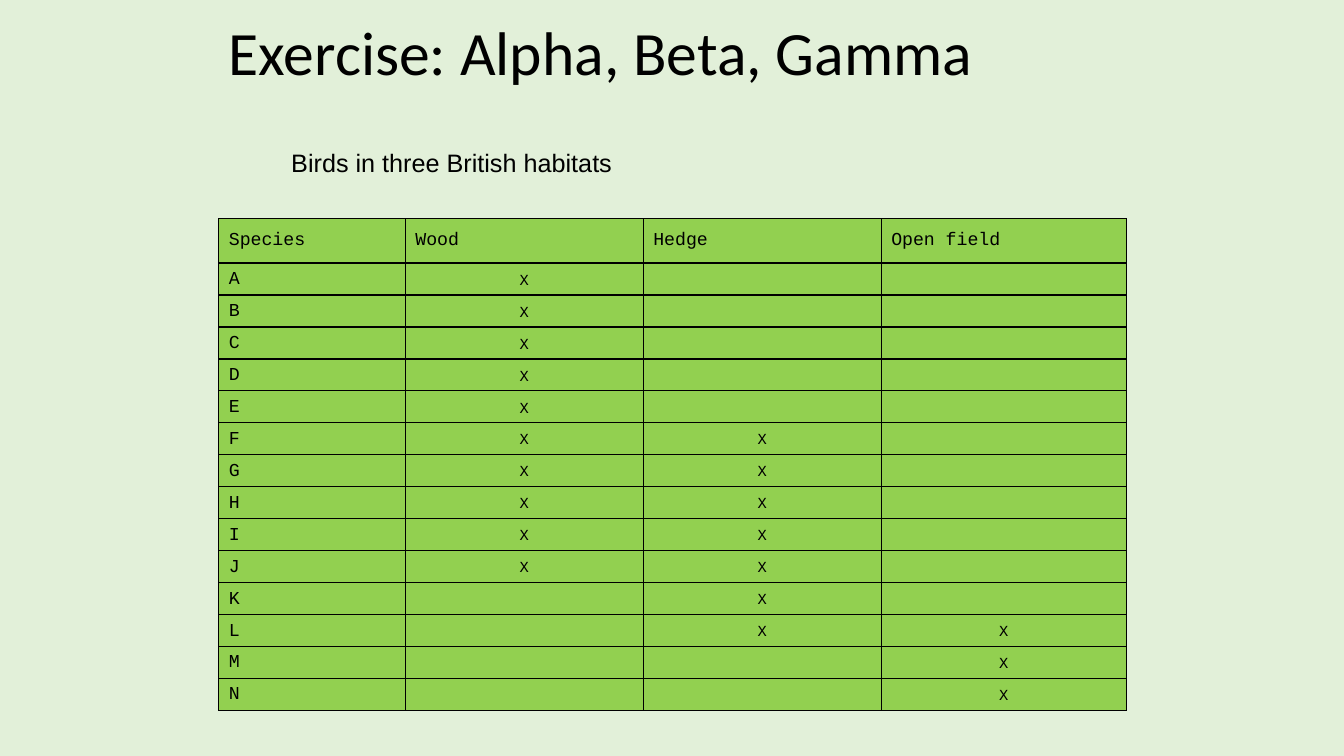
from pptx import Presentation
from pptx.dml.color import RGBColor as RGB
from pptx.enum.text import MSO_ANCHOR as ANCHOR, MSO_AUTO_SIZE as AUTO, PP_ALIGN as ALIGN
from pptx.oxml.ns import qn
from pptx.util import Inches, Pt
from lxml.etree import SubElement

COLORS = {"background": "E2F0D9", "cell": "92D050", "ink": "000000"}
HABITATS = {"Wood": "ABCDEFGHIJ", "Hedge": "FGHIJKL", "Open field": "LMN"}
SPECIES = "ABCDEFGHIJKLMN"


class SlideBuilder:
    def __init__(self, prs):
        self.s = prs.slides.add_slide(prs.slide_layouts[6])
        fill = self.s.background.fill
        fill.solid()
        fill.fore_color.rgb = RGB.from_string(COLORS["background"])

    def style(self, p, size, font):
        p.font.size = Pt(size)
        p.font.name = font
        p.font.color.rgb = RGB.from_string(COLORS["ink"])

    def text(self, text, box, size, font, wrap=True, anchor=ANCHOR.TOP, spacing=None):
        sp = self.s.shapes.add_textbox(*map(Inches, box))
        tf = sp.text_frame
        tf.word_wrap = wrap
        tf.auto_size = AUTO.NONE if wrap else AUTO.SHAPE_TO_FIT_TEXT
        tf.vertical_anchor = anchor
        p = tf.paragraphs[0]
        p.text = text
        p.line_spacing = spacing
        self.style(p, size, font)

    def border(self, cell):
        tcPr = cell._tc.get_or_add_tcPr()
        for i, side in enumerate(("lnL", "lnR", "lnT", "lnB")):
            ln = tcPr.makeelement(qn(f"a:{side}"), {"w": str(Pt(1))})
            fill = SubElement(ln, qn("a:solidFill"))
            SubElement(fill, qn("a:srgbClr"), val=COLORS["ink"])
            tcPr.insert(i, ln)

    def cell(self, cell, text, size, anchor, align):
        cell.fill.solid()
        cell.fill.fore_color.rgb = RGB.from_string(COLORS["cell"])
        cell.vertical_anchor = anchor
        self.border(cell)
        p = cell.text_frame.paragraphs[0]
        p.text = text
        p.alignment = align
        self.style(p, size, "Courier New")
        if not text:
            SubElement(p._p, qn("a:endParaRPr"), sz=str(size * 100))

    def table(self, rows, box, widths, header_height):
        frame = self.s.shapes.add_table(len(rows), len(widths), *map(Inches, box))
        table = frame.table
        table.first_row = table.horz_banding = False
        for column, width in zip(table.columns, widths):
            column.width = Inches(width)
        row_height = (box[3] - header_height) / (len(rows) - 1)
        for i, row in enumerate(rows):
            table.rows[i].height = Inches(row_height if i else header_height)
            for j, text in enumerate(row):
                mark = i > 0 and j > 0
                self.cell(table.cell(i, j), text, 11 if mark else 13,
                          ANCHOR.BOTTOM if i else ANCHOR.MIDDLE,
                          ALIGN.CENTER if mark else ALIGN.LEFT)


def main():
    prs = Presentation()
    prs.slide_width, prs.slide_height = Inches(13.33), Inches(7.5)
    slide = SlideBuilder(prs)
    slide.text("Exercise: Alpha, Beta, Gamma", (2.17, 0.13, 8.25, 0.84), 44, "Calibri",
               anchor=ANCHOR.MIDDLE, spacing=0.9)
    rows = [["Species", *HABITATS]]
    for bird in SPECIES:
        rows.append([bird] + ["X" if bird in birds else "" for birds in HABITATS.values()])
    slide.table(rows, (2.17, 2.17, 9, 4.88), (1.85, 2.36, 2.36, 2.43), 0.44)
    slide.text("Birds in three British habitats", (2.79, 1.41, 3.38, 0.4), 18, "Arial", wrap=False)
    prs.save("out.pptx")


if __name__ == "__main__":
    main()
